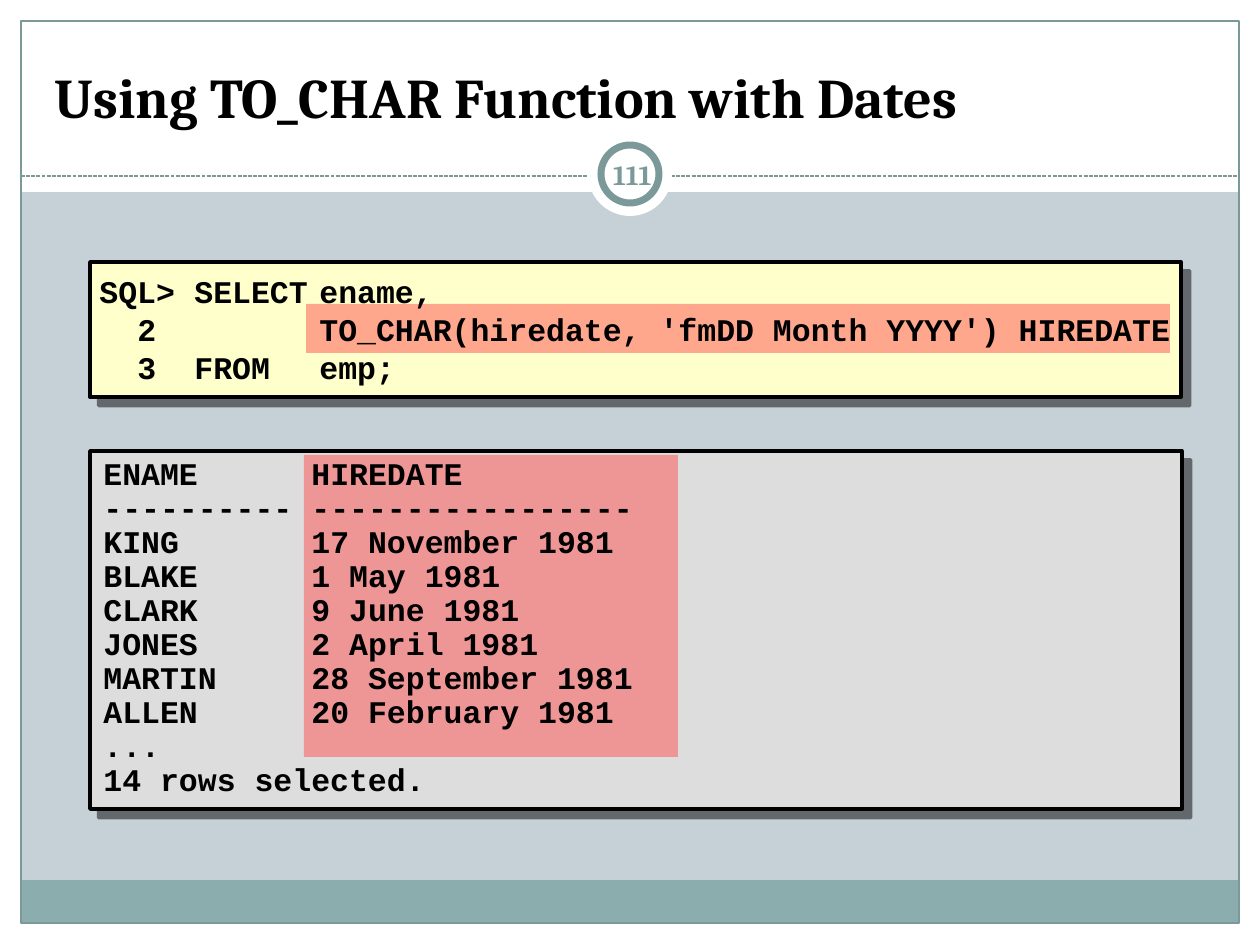
"""Build the slide on formatting dates with TO_CHAR."""
from lxml.etree import SubElement
from pptx import Presentation
from pptx.dml.color import RGBColor
from pptx.enum.dml import MSO_LINE_DASH_STYLE as DASH
from pptx.enum.shapes import MSO_CONNECTOR as CONNECTOR, MSO_SHAPE as SHAPE
from pptx.enum.text import MSO_ANCHOR as ANCHOR, PP_ALIGN as ALIGN
from pptx.oxml.ns import qn
from pptx.util import Pt

PX = 914400 / 126
COLORS = {
    "background": "C5D1D7", "white": "FFFFFF", "black": "000000",
    "footer": "8CADAE", "frame": "7C999A", "code": "FFFFCC",
    "result": "DDDDDD", "highlight": "FF5050",
}


def add_box(kind, bounds, fill=None, line=None, width=1):
    shape = slide.shapes.add_shape(kind, *[round(n * PX) for n in bounds])
    shape.shadow.inherit = False
    if fill:
        shape.fill.solid()
        shape.fill.fore_color.rgb = RGBColor.from_string(COLORS[fill])
    else:
        shape.fill.background()
    if line:
        shape.line.color.rgb = RGBColor.from_string(COLORS[line])
        shape.line.width = Pt(width)
    else:
        shape.line.fill.background()
    return shape


def add_text(bounds, text, font, size, color, anchor, tabs=()):
    shape = slide.shapes.add_textbox(*[round(n * PX) for n in bounds])
    text_frame = shape.text_frame
    text_frame.text = text
    text_frame.word_wrap = True
    text_frame.vertical_anchor = anchor
    for paragraph in text_frame.paragraphs:
        for run in paragraph.runs:
            run.font.name = font
            run.font.size = Pt(size)
            run.font.bold = True
            run.font.color.rgb = RGBColor.from_string(COLORS[color])
        if tabs:
            tab_list = SubElement(paragraph._p.get_or_add_pPr(), qn("a:tabLst"))
            for stop in tabs:
                SubElement(tab_list, qn("a:tab"), pos=str(round(stop * PX)), algn="l")
    return text_frame


presentation = Presentation()
presentation.slide_width = round(1260 * PX)
presentation.slide_height = round(945 * PX)
slide = presentation.slides.add_slide(presentation.slide_layouts[6])
slide.background.fill.solid()
slide.background.fill.fore_color.rgb = RGBColor.from_string(COLORS["background"])

for border in [(0, 924, 1260, 21), (0, 0, 1260, 192), (0, 0, 21, 945), (1239, 0, 21, 945)]:
    add_box(SHAPE.RECTANGLE, border, "white")
add_box(SHAPE.RECTANGLE, (21, 880, 1217, 43), "footer")
add_box(SHAPE.RECTANGLE, (21, 21, 1218, 902), line="frame", width=0.75)

divider = slide.shapes.add_connector(
    CONNECTOR.STRAIGHT, *[round(n * PX) for n in (21, 176, 1239, 176)])
divider.line.color.rgb = RGBColor.from_string(COLORS["frame"])
divider.line.width = Pt(0.75)
divider.line.dash_style = DASH.SQUARE_DOT
SubElement(divider._element.spPr, qn("a:effectLst"))

add_box(SHAPE.OVAL, (588, 132, 84, 84), "white")
add_box(SHAPE.OVAL, (601, 145, 58, 58), "white", "frame", 4)

add_text((42, 31, 1176, 105), "Using TO_CHAR Function with Dates",
         "Cambria", 32, "black", ANCHOR.BOTTOM)
number = add_text((601, 144, 63, 60), "111", "Cambria", 16, "frame", ANCHOR.MIDDLE)
number.margin_left = number.margin_right = round(6 * PX)
number.paragraphs[0].alignment = ALIGN.CENTER

for bounds, fill in [((90, 262, 1091, 135), "code"), ((90, 451, 1092, 358), "result")]:
    panel = add_box(SHAPE.RECTANGLE, bounds, fill, "black", 2)
    effects = panel._element.spPr.find(qn("a:effectLst"))
    shadow = SubElement(effects, qn("a:outerShdw"), blurRad="0", dist=str(Pt(7.1)),
                        dir="2700000", algn="ctr", rotWithShape="0")
    shadow_color = SubElement(shadow, qn("a:srgbClr"), val=COLORS["black"])
    SubElement(shadow_color, qn("a:alpha"), val="50000")

for bounds in [(306, 304, 864, 49), (304, 455, 374, 302)]:
    highlight = add_box(SHAPE.RECTANGLE, bounds, "highlight")
    fill_color = highlight._element.spPr.find(qn("a:solidFill"))[0]
    SubElement(fill_color, qn("a:alpha"), val="50000")

query = [
    "SQL>\tSELECT\tename,",
    "\t2\t\tTO_CHAR(hiredate, 'fmDD Month YYYY') HIREDATE",
    "\t3\tFROM\temp;",
]
add_text((87, 236, 1110, 186), "\n".join(query), "Courier New", 18, "black",
         ANCHOR.MIDDLE, tabs=(38, 95, 220))

rows = [
    ("ENAME", "HIREDATE"),
    ("-" * 10, "-" * 17),
    ("KING", "17 November 1981"),
    ("BLAKE", "1 May 1981"),
    ("CLARK", "9 June 1981"),
    ("JONES", "2 April 1981"),
    ("MARTIN", "28 September 1981"),
    ("ALLEN", "20 February 1981"),
    ("...",),
    ("14 rows selected.",),
]
result = add_text((91, 452, 1000, 354), "\n".join("\t".join(row) for row in rows),
                  "Courier New", 18, "black", ANCHOR.TOP, tabs=(208,))
for paragraph in result.paragraphs:
    paragraph.line_spacing = 0.9

presentation.save("out.pptx")
